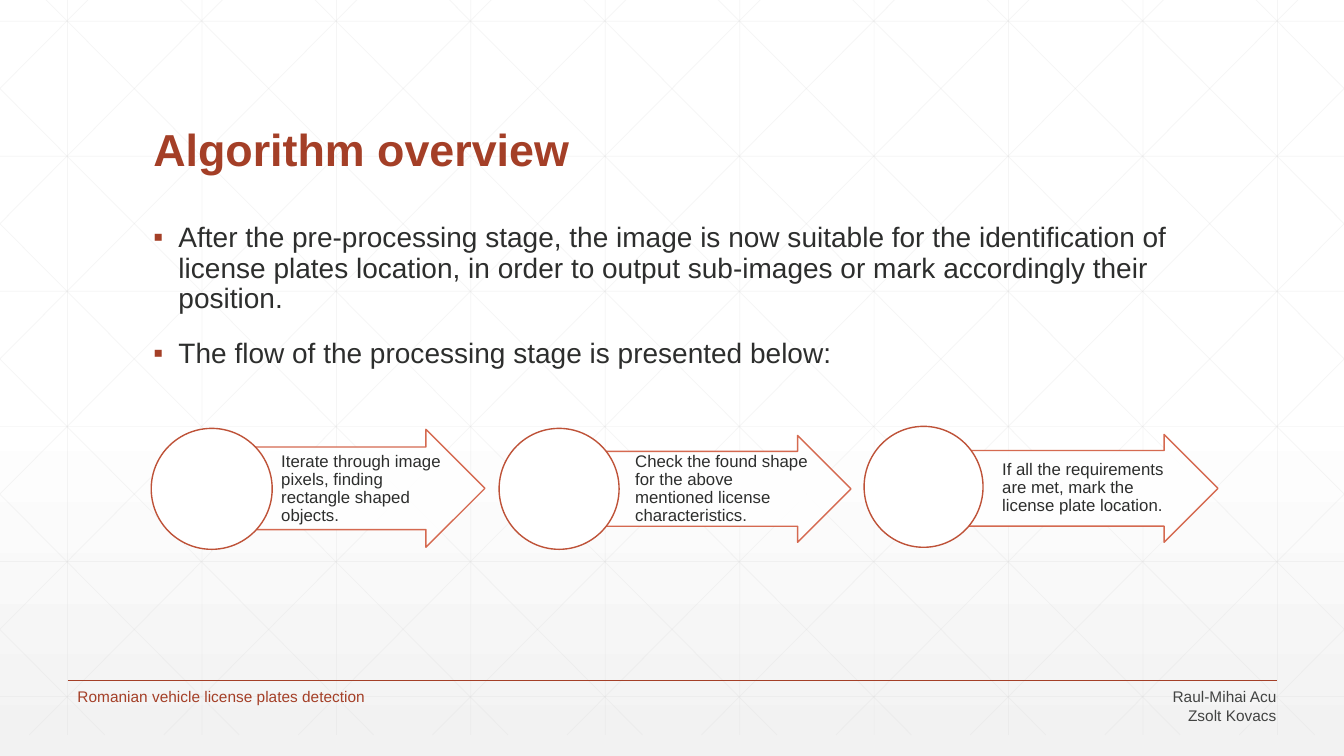
from lxml.etree import SubElement
from pptx import Presentation
from pptx.dml.color import RGBColor
from pptx.enum.shapes import MSO_CONNECTOR, MSO_SHAPE
from pptx.enum.text import MSO_ANCHOR, MSO_AUTO_SIZE, PP_ALIGN
from pptx.oxml.ns import qn
from pptx.util import Inches, Pt

COLORS = {
    "white": "FFFFFF", "shade": "F2F2F2", "grid": "D9D9D9",
    "accent": "A43F27", "arrow": "D15A3E", "circle": "BE5238",
    "text": "2D2E2D", "names": "424342",
}
RGB = {name: RGBColor.from_string(value) for name, value in COLORS.items()}
W, H = 13.33, 7.5


def write(tf, lines, size, color, bold=False, align=PP_ALIGN.LEFT,
          anchor=MSO_ANCHOR.TOP, spacing=0.9, before=0,
          insets=(0.1, 0.05, 0.1, 0.05)):
    tf.word_wrap = True
    tf.auto_size = MSO_AUTO_SIZE.NONE
    tf.vertical_anchor = anchor
    tf.margin_left, tf.margin_top, tf.margin_right, tf.margin_bottom = map(Inches, insets)
    for i, line in enumerate(lines):
        p = tf.add_paragraph() if i else tf.paragraphs[0]
        p.alignment, p.line_spacing = align, spacing
        p.space_before, p.space_after = Pt(before), Pt(0)
        r = p.add_run()
        r.text = line
        r.font.name, r.font.size, r.font.bold = "Arial", Pt(size), bold
        r.font.color.rgb = RGB[color]


def set_opacity(spPr, percent):
    for clr in list(spPr.iter(qn("a:srgbClr"))):
        SubElement(clr, qn("a:alpha"), val=str(percent * 1000))


prs = Presentation()
prs.slide_width, prs.slide_height = Inches(W), Inches(H)
s = prs.slides.add_slide(prs.slide_layouts[1])

# Background gradient
fill = s.background.fill
fill.gradient()
fill.gradient_angle = 270
for stop, (position, color) in zip(fill.gradient_stops, [(0.53, "white"), (1, "shade")]):
    stop.position, stop.color.rgb = position, RGB[color]

# Grid: verticals, horizontals and mirrored diagonals clipped to the slide
top, bottom, step = -0.21, 7.29, 4 / 3
grid = [(0.67 + step * i, top, 0.67 + step * i, bottom) for i in range(10)]
grid += [(0, 0.21 + 1.34 * i, W, 0.21 + 1.34 * i) for i in range(6)]
slope = 7.5 / 7.455
for i in range(-5, 10):
    x0 = 0.25 + step * i
    x1 = max(x0, 0)
    x2 = min(x0 + 7.455, W)
    y1, y2 = (top + (x - x0) * slope for x in (x1, x2))
    grid += [(x1, y1, x2, y2), (W - x1, y1, W - x2, y2)]

# Grid lines and footer rule
rules = [(ends, "grid", 0.5, 25) for ends in grid]
rules.append(((0.67, 6.75, 12.67, 6.75), "accent", 1, 100))
for ends, color, width, opacity in rules:
    line = s.shapes.add_connector(MSO_CONNECTOR.STRAIGHT, *map(Inches, ends))
    line.line.color.rgb, line.line.width = RGB[color], Pt(width)
    spPr = line._element.spPr
    set_opacity(spPr, opacity)
    SubElement(spPr, qn("a:effectLst"))

# Title and body, brought in front of the grid
title, body = s.shapes.title, s.placeholders[1]
for sp, box in [(title, (1.42, 0.55, 10.5, 1.25)), (body, (1.42, 2.17, 10.5, 4.17))]:
    sp.left, sp.top, sp.width, sp.height = map(Inches, box)
    s.shapes._spTree.append(sp._element)
write(title.text_frame, ["Algorithm overview"], 32, "accent", bold=True,
      anchor=MSO_ANCHOR.BOTTOM)
write(body.text_frame, [
    "After the pre-processing stage, the image is now suitable for the identification of "
    "license plates location, in order to output sub-images or mark accordingly their position.",
    "The flow of the processing stage is presented below:",
], 20, "text", before=18)
for p in body.text_frame.paragraphs:
    pPr = p._p.get_or_add_pPr()
    pPr.set("marL", str(Inches(0.25)))
    pPr.set("indent", str(-Inches(0.25)))
    SubElement(SubElement(pPr, qn("a:buClr")), qn("a:srgbClr"), val=COLORS["accent"])
    SubElement(pPr, qn("a:buFont"), typeface="Arial")
    SubElement(pPr, qn("a:buChar"), char="▪")

# Footer
for box, lines, color, align in [
    ((0.67, 6.82, 6, 0.36), ["Romanian vehicle license plates detection"], "accent", PP_ALIGN.LEFT),
    ((9.76, 6.82, 3, 0.36), ["Raul-Mihai Acu", "Zsolt Kovacs"], "names", PP_ALIGN.RIGHT),
]:
    sp = s.shapes.add_textbox(*map(Inches, box))
    write(sp.text_frame, lines, 11, color, align=align, spacing=1, insets=(0.1, 0, 0.1, 0))

# Process flow: arrow, label and circle for each step
steps = [
    ("Iterate through image pixels, finding rectangle shaped objects.",
     (2.08, 4.26, 2.73, 1.17), (2.76, 4.44, 1.64, 0.82), (1.5, 4.25, 1.2, 1.2)),
    ("Check the found shape for the above mentioned license characteristics.",
     (5.55, 4.32, 2.89, 1.06), (6.27, 4.48, 1.8, 0.74), (4.95, 4.25, 1.19, 1.2)),
    ("If all the requirements are met, mark the license plate location.",
     (9.19, 4.31, 2.89, 1.07), (9.91, 4.47, 1.79, 0.75), (8.57, 4.23, 1.18, 1.2)),
]
for text, arrow_box, label_box, circle_box in steps:
    arrow = s.shapes.add_shape(MSO_SHAPE.RIGHT_ARROW, *map(Inches, arrow_box))
    arrow.adjustments[0], arrow.adjustments[1] = 0.7, 0.5
    label = s.shapes.add_textbox(*map(Inches, label_box))
    write(label.text_frame, [text], 12, "text", anchor=MSO_ANCHOR.MIDDLE,
          insets=(0.03, 0.01, 0.02, 0.01))
    circle = s.shapes.add_shape(MSO_SHAPE.OVAL, *map(Inches, circle_box))
    for sp, color, opacity in [(arrow, "arrow", 90), (circle, "circle", 100)]:
        sp.shadow.inherit = False
        sp.fill.solid()
        sp.fill.fore_color.rgb = RGB["white"]
        sp.line.color.rgb, sp.line.width = RGB[color], Pt(1)
        set_opacity(sp._element.spPr, opacity)

prs.save("out.pptx")
